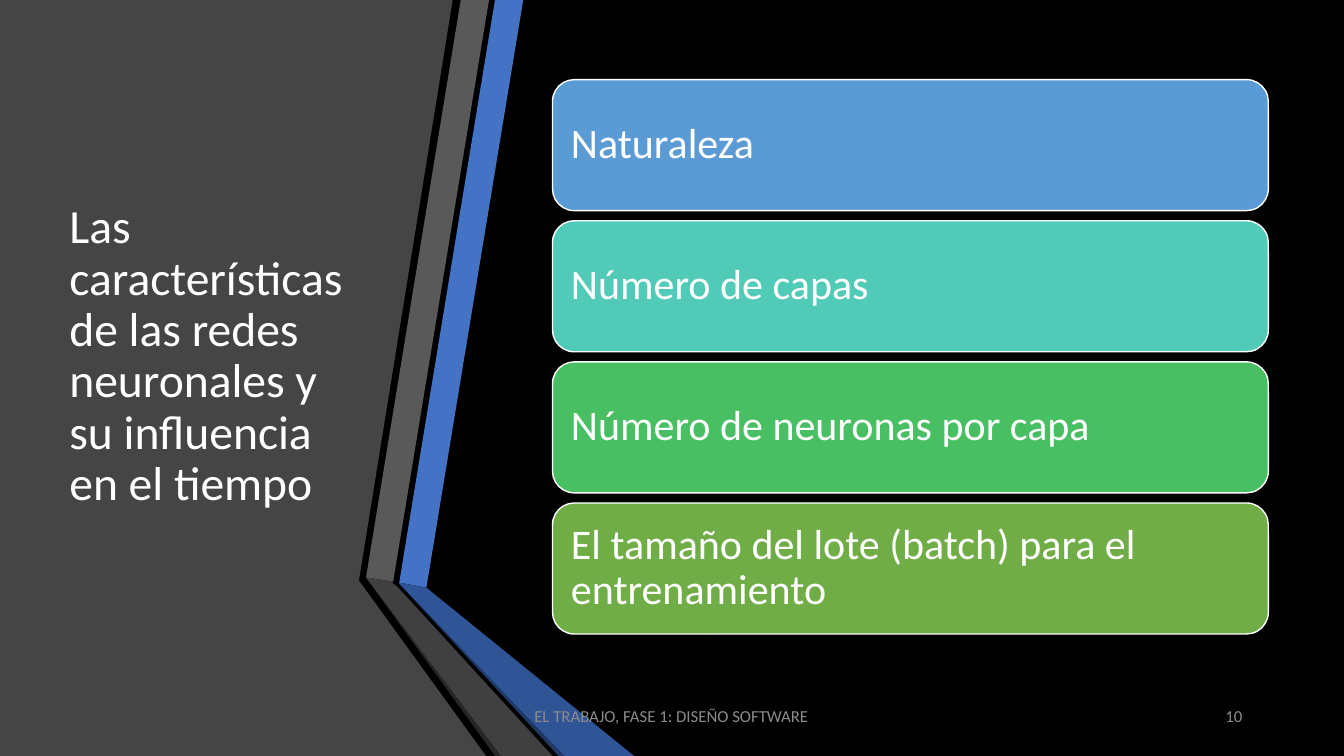
from pptx import Presentation
from pptx.dml.color import RGBColor
from pptx.enum.shapes import MSO_SHAPE
from pptx.enum.text import MSO_ANCHOR, PP_ALIGN
from pptx.util import Inches, Pt

BLACK = RGBColor(0x00, 0x00, 0x00)
WHITE = RGBColor(0xFF, 0xFF, 0xFF)
FOOTER_GRAY = RGBColor(0x8C, 0x8C, 0x8C)
PANEL_GRAY = RGBColor(0x45, 0x45, 0x45)
BAND_GRAY = RGBColor(0x59, 0x59, 0x59)
FOLD_GRAY = RGBColor(0x40, 0x40, 0x40)
EDGE_GRAY = RGBColor(0x26, 0x26, 0x26)
BAND_BLUE = RGBColor(0x44, 0x72, 0xC4)
FOLD_BLUE = RGBColor(0x2F, 0x55, 0x97)
EDGE_BLUE = RGBColor(0x20, 0x38, 0x64)
SKY = RGBColor(0x5B, 0x9B, 0xD5)
TEAL = RGBColor(0x52, 0xCA, 0xB8)
GREEN = RGBColor(0x49, 0xBF, 0x64)
OLIVE = RGBColor(0x70, 0xAD, 0x47)


class SlideBuilder:
    """Holds the text style and the current slide."""

    font_name = "Calibri"

    def __init__(self, slide, background):
        self.slide = slide
        slide.background.fill.solid()
        slide.background.fill.fore_color.rgb = background

    def fill_text(self, sp, text, size, color=WHITE, inset=None, **paragraph_format):
        tf = sp.text_frame
        tf.word_wrap = True
        tf.vertical_anchor = MSO_ANCHOR.MIDDLE
        if inset is not None:
            for side in ("left", "top", "right", "bottom"):
                setattr(tf, f"margin_{side}", Inches(inset))
        p = tf.paragraphs[0]
        for name, value in paragraph_format.items():
            setattr(p, name, value)
        r = p.add_run()
        r.text = text
        font_format = {"name": self.font_name, "size": Pt(size)}
        for name, value in font_format.items():
            setattr(r.font, name, value)
        r.font.color.rgb = color

    def text(self, box, text, size, color=WHITE, **paragraph_format):
        sp = self.slide.shapes.add_textbox(*map(Inches, box))
        self.fill_text(sp, text, size, color, **paragraph_format)

    def polygon(self, color, points):
        corners = [(Inches(x), Inches(y)) for x, y in points]
        outline = self.slide.shapes.build_freeform(*corners[0], scale=1.0)
        outline.add_line_segments(corners[1:], close=True)
        sp = outline.convert_to_shape()
        sp.shadow.inherit = False
        sp.fill.solid()
        sp.fill.fore_color.rgb = color
        sp.line.fill.background()

    def card(self, box, text, color):
        sp = self.slide.shapes.add_shape(MSO_SHAPE.ROUNDED_RECTANGLE, *map(Inches, box))
        sp.shadow.inherit = False
        sp.fill.solid()
        sp.fill.fore_color.rgb = color
        sp.line.color.rgb = WHITE
        sp.line.width = Pt(1)
        self.fill_text(sp, text, 30, inset=0.12, alignment=PP_ALIGN.LEFT, line_spacing=0.9)


def main():
    prs = Presentation()
    prs.slide_width, prs.slide_height = Inches(13.33), Inches(7.5)
    s = SlideBuilder(prs.slides.add_slide(prs.slide_layouts[6]), BLACK)

    # Left panel and folded bands
    polygons = [
        (PANEL_GRAY, [(0, 0), (4.49, 0), (3.56, 5.76), (4.82, 7.5), (0, 7.5)]),
        (BAND_BLUE, [(3.96, 5.78), (4.23, 5.83), (5.19, 0), (4.91, 0)]),
        (BAND_GRAY, [(4.85, 0), (4.57, 0), (3.63, 5.73), (3.9, 5.77)]),
        (EDGE_GRAY, [(3.63, 5.73), (4.91, 7.5), (4.97, 7.5)]),
        (EDGE_BLUE, [(3.96, 5.79), (5.54, 7.5), (5.6, 7.5)]),
        (FOLD_BLUE, [(3.96, 5.79), (5.6, 7.5), (6.29, 7.5), (4.23, 5.83), (3.96, 5.78)]),
        (FOLD_GRAY, [(5.48, 7.5), (3.95, 5.83), (3.89, 5.78), (3.9, 5.77),
                     (3.63, 5.73), (4.97, 7.5)]),
    ]
    for color, points in polygons:
        s.polygon(color, points)

    # Title
    s.text((0.59, 0.75, 3.04, 5.58),
           "Las características de las redes neuronales y su influencia en el tiempo",
           34, line_spacing=0.9)

    # Footer and slide number
    s.text((4.53, 6.9, 4.26, 0.4), "EL TRABAJO, FASE 1: DISEÑO SOFTWARE", 12,
           FOOTER_GRAY, alignment=PP_ALIGN.CENTER, space_after=Pt(6))
    s.text((11.23, 6.9, 1.19, 0.4), "10", 12,
           FOOTER_GRAY, alignment=PP_ALIGN.RIGHT, space_after=Pt(6))

    # Characteristic cards
    cards = [
        ("Naturaleza", SKY),
        ("Número de capas", TEAL),
        ("Número de neuronas por capa", GREEN),
        ("El tamaño del lote (batch) para el entrenamiento", OLIVE),
    ]
    for i, (label, color) in enumerate(cards):
        s.card((5.48, 0.79 + 1.4 * i, 7.1, 1.3), label, color)

    prs.save("out.pptx")


if __name__ == "__main__":
    main()
